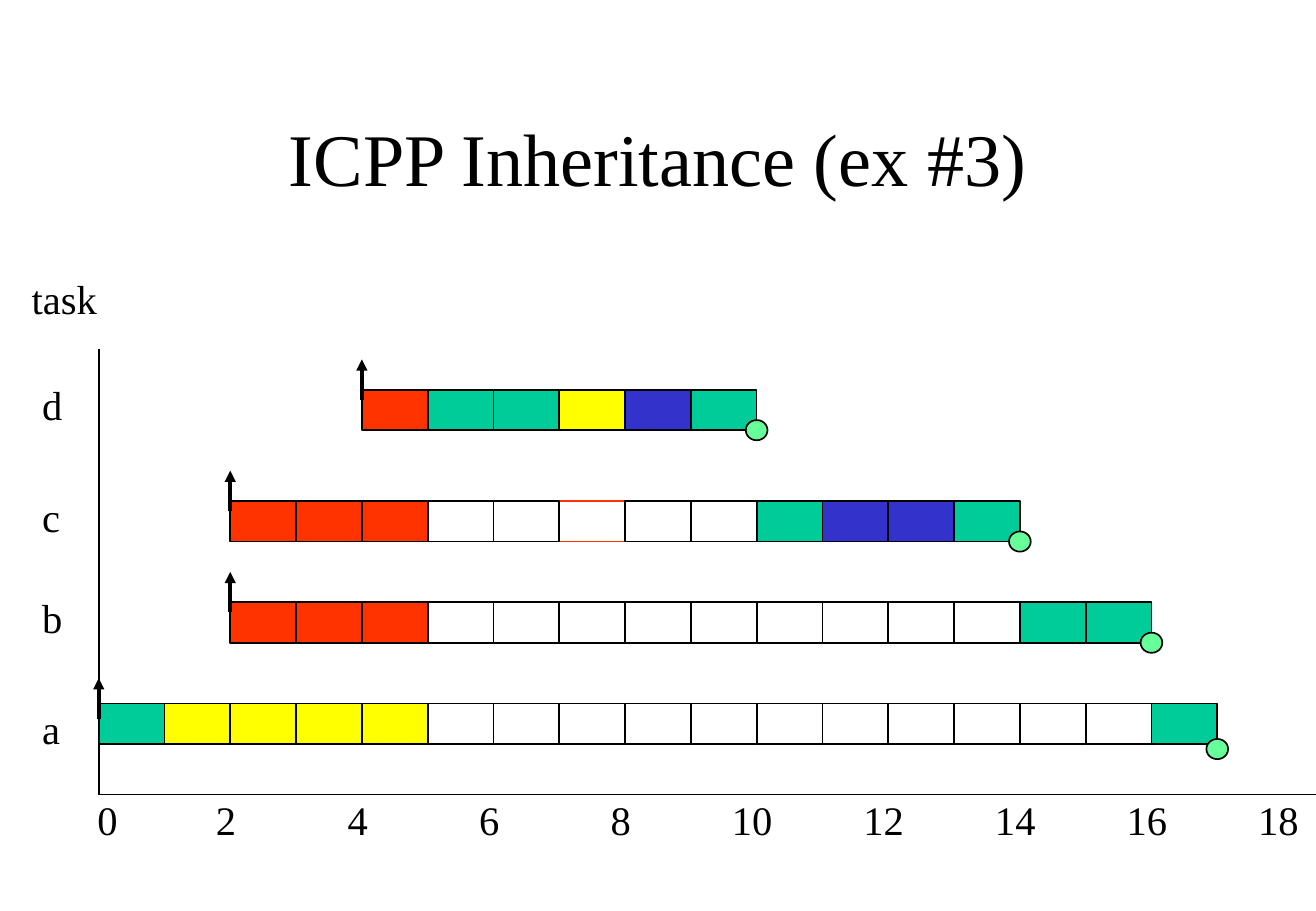
"""Build the ICPP inheritance schedule slide."""
import pptx
import pptx.util
import pptx.dml.color
import pptx.enum.shapes
import pptx.enum.text
import pptx.oxml.ns
import lxml.etree

TITLE = "ICPP Inheritance (ex #3)"
AXIS_NAME = "task"
TICKS = range(0, 20, 2)
COLORS = {"ink": "000000", "G": "00CC99", "Y": "FFFF00", "R": "FF3300",
          "B": "3333CC", "finish": "66FF99"}
BLOCKED, OUTLINED = ".", "o"
TASKS = [
    {"name": "a", "start": 0, "row": 69.5, "cells": "GYYYY...........G",
     "label": -0.5, "arrow": -2.5, "finish": 4.5},
    {"name": "b", "start": 2, "row": 59.5, "cells": "RRR.........GG",
     "label": -1.5, "arrow": -3, "finish": 4},
    {"name": "c", "start": 2, "row": 49.5, "cells": "RRR..o..GBBG",
     "label": -1.5, "arrow": -3, "finish": 4},
    {"name": "d", "start": 4, "row": 38.5, "cells": "RGGYBG",
     "label": -1.5, "arrow": -3, "finish": 4},
]

COLS, ROWS = 20, 90
ORIGIN_COL, AXIS_TOP, AXIS_ROW = 1.5, 34.5, 78.5
BAR_ROWS, ARROW_ROWS, LABEL_ROWS = 4, 4, 6
FINISH_COLS, FINISH_ROWS = 0.33, 2
LABEL_FORMAT = {"name": "Times New Roman", "size": pptx.util.Pt(24)}
TITLE_FORMAT = {**LABEL_FORMAT, "size": pptx.util.Pt(44)}
SHAPES = pptx.enum.shapes.MSO_SHAPE

deck = pptx.Presentation()
deck.slide_width = pptx.util.Inches(10.83)
deck.slide_height = pptx.util.Inches(7.5)
slide = deck.slides.add_slide(deck.slide_layouts[6])


def x(col):
    return round(deck.slide_width * col / COLS)


def y(row):
    return round(deck.slide_height * row / ROWS)


def rgb(color):
    return pptx.dml.color.RGBColor.from_string(COLORS[color])


def add_text(text, col, row, cols, rows, font_format, **frame_format):
    frame = slide.shapes.add_textbox(x(col), y(row), x(cols), y(rows)).text_frame
    for attribute, value in frame_format.items():
        setattr(frame, attribute, value)
    paragraph = frame.paragraphs[0]
    run = paragraph.add_run()
    run.text = text
    for attribute, value in font_format.items():
        setattr(run.font, attribute, value)
    run.font.color.rgb = rgb("ink")
    return paragraph


def add_label(text, col, row):
    add_text(text, col, row, 0.38 + 0.3 * len(text), LABEL_ROWS, LABEL_FORMAT,
             word_wrap=False)


def add_part(kind, col, row, cols, rows, fill, line="ink"):
    part = slide.shapes.add_shape(kind, x(col), y(row), x(cols), y(rows))
    part.shadow.inherit = False
    if fill in COLORS:
        part.fill.solid()
        part.fill.fore_color.rgb = rgb(fill)
    else:
        part.fill.background()
    part.line.color.rgb = rgb(line)
    part.line.width = pptx.util.Pt(1)


def add_line(col, row, end_col, end_row, width=1, arrow=False):
    line = slide.shapes.add_connector(pptx.enum.shapes.MSO_CONNECTOR.STRAIGHT,
                                      x(col), y(row), x(end_col), y(end_row))
    line.line.color.rgb = rgb("ink")
    line.line.width = pptx.util.Pt(width)
    properties = line._element.spPr
    if arrow:
        lxml.etree.SubElement(properties.ln, pptx.oxml.ns.qn("a:headEnd"),
                              type="triangle")
    lxml.etree.SubElement(properties, pptx.oxml.ns.qn("a:effectLst"))


title = add_text(TITLE, 1.5, 8, 17, 15, TITLE_FORMAT, word_wrap=True,
                 vertical_anchor=pptx.enum.text.MSO_ANCHOR.MIDDLE)
title.alignment = pptx.enum.text.PP_ALIGN.CENTER

add_line(ORIGIN_COL, AXIS_TOP, ORIGIN_COL, AXIS_ROW)
add_line(ORIGIN_COL, AXIS_ROW, COLS, AXIS_ROW)
add_label(AXIS_NAME, 0.3, 26.5)
for tick in TICKS:
    offset = -0.2 if tick == 0 else -0.4 if tick < 10 else -0.56
    add_label(str(tick), ORIGIN_COL + tick + offset, 78)

for task in TASKS:
    row, first = task["row"], ORIGIN_COL + task["start"]
    cells = sorted(enumerate(task["cells"]), key=lambda cell: cell[1] != OUTLINED)
    for slot, state in cells:
        add_part(SHAPES.RECTANGLE, first + slot, row, 1, BAR_ROWS, state,
                 "R" if state == OUTLINED else "ink")
    add_label(task["name"], 0.46, row + task["label"])
    arrow_row = row + task["arrow"]
    add_line(first, arrow_row, first, arrow_row + ARROW_ROWS, 2.25, True)
    add_part(SHAPES.OVAL, first + len(cells) - FINISH_COLS / 2,
             row + task["finish"] - FINISH_ROWS / 2,
             FINISH_COLS, FINISH_ROWS, "finish")

deck.save("out.pptx")
